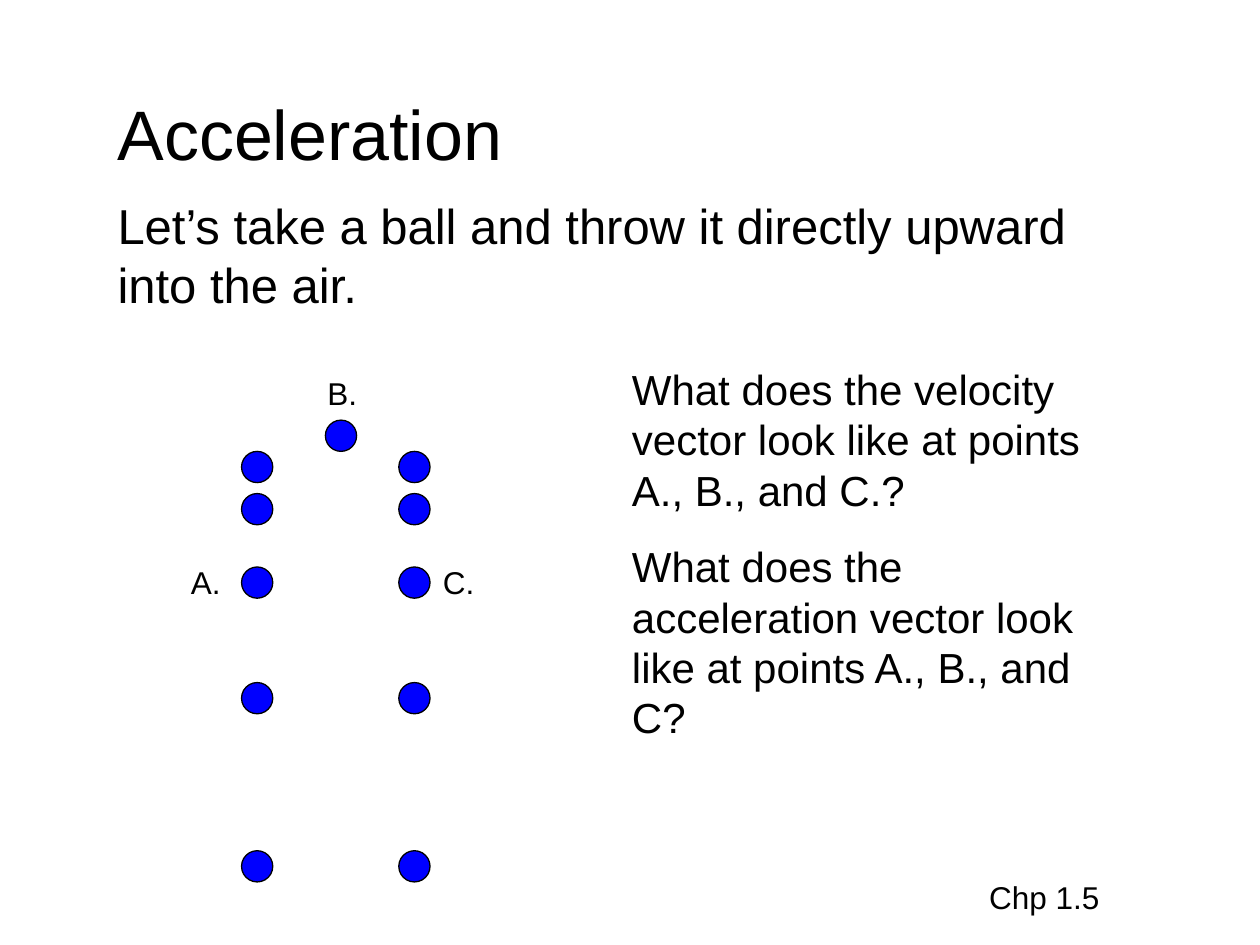
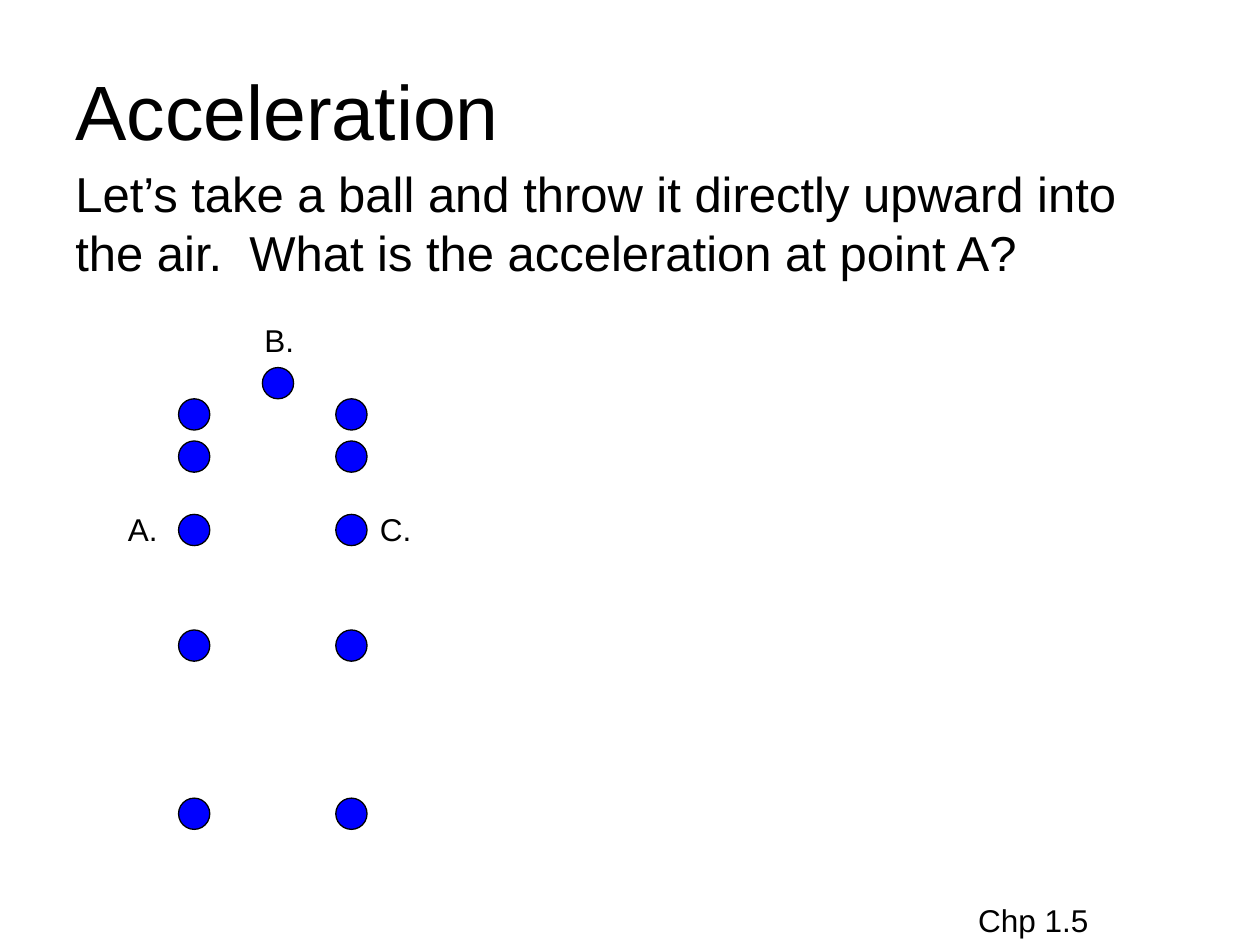
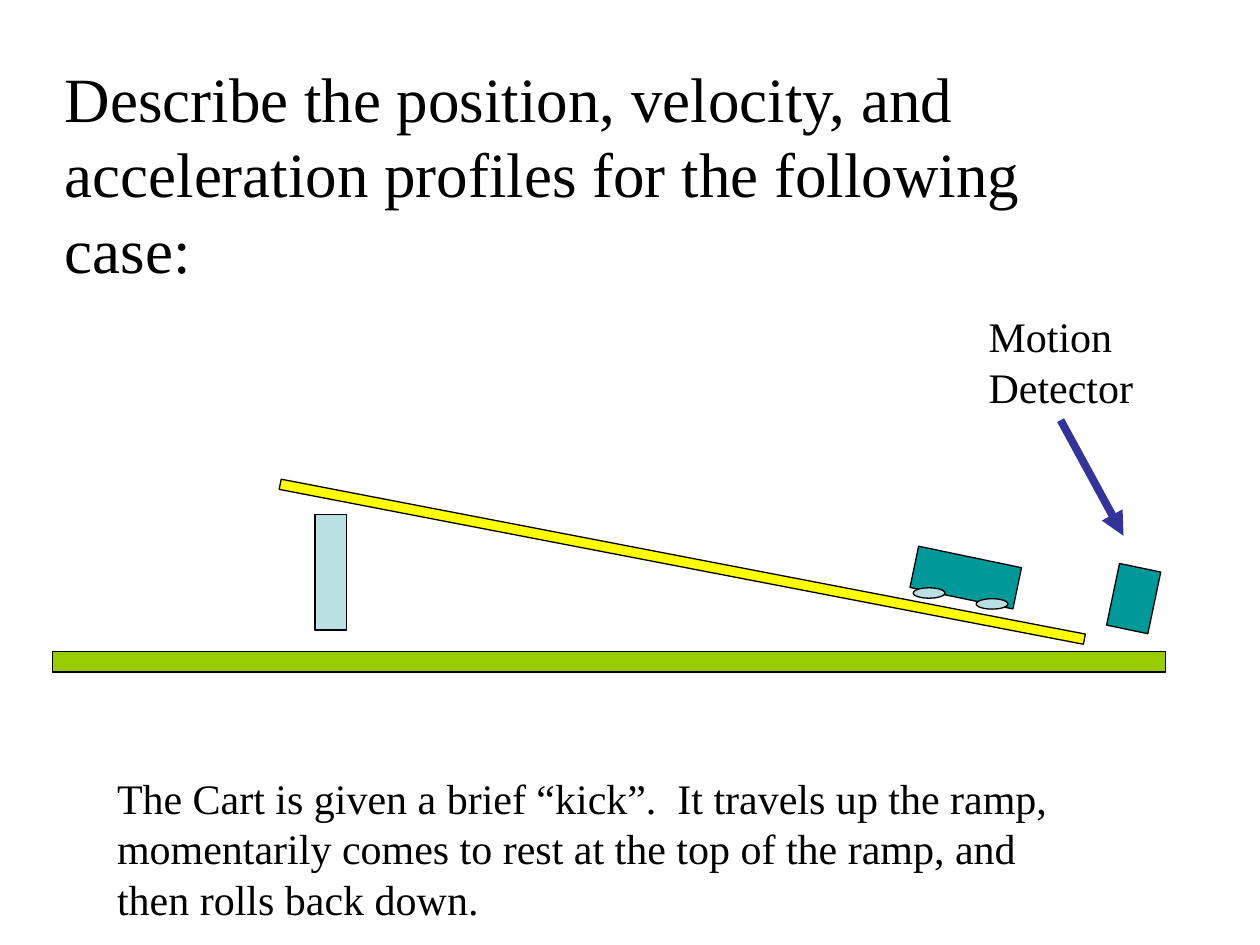
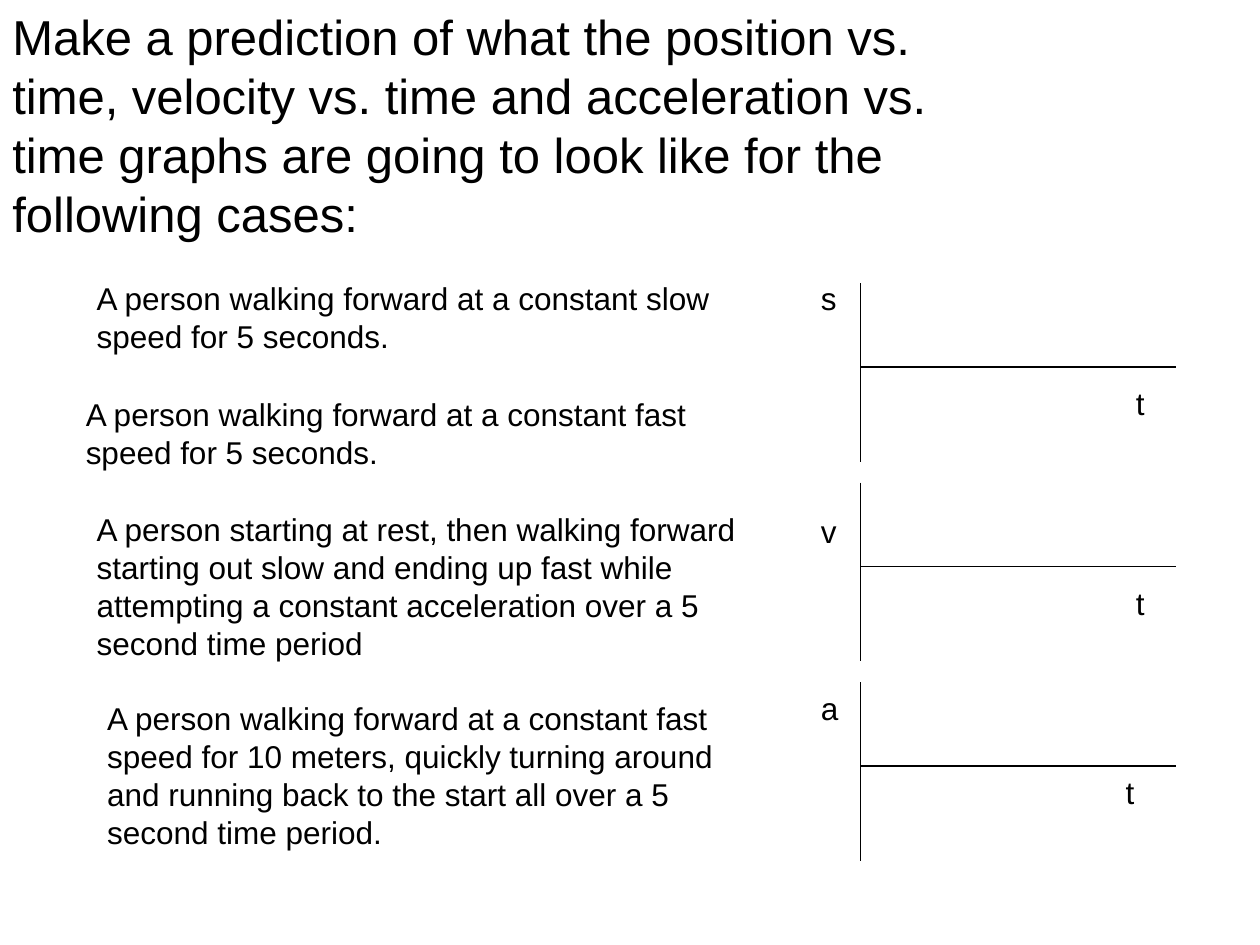
from lxml import etree
from pptx import Presentation
from pptx.dml.color import RGBColor
from pptx.enum.shapes import MSO_CONNECTOR as Link, MSO_SHAPE as Kind
from pptx.enum.text import MSO_ANCHOR as Anchor, MSO_AUTO_SIZE as Fit
from pptx.oxml.ns import qn
from pptx.util import Cm, Pt

BLACK, BLUE, NAVY = "000000", "0000FF", "333399"
GREEN, PALE, YELLOW, TEAL = "99CC00", "BBE0E3", "FFFF00", "009999"
SANS, SERIF = "Arial", "Times New Roman"


def color(code):
    return RGBColor.from_string(code)


class Deck:
    """Shared style and the current slide; all lengths are in cm."""

    def __init__(self):
        self.prs = Presentation()
        self.prs.slide_width, self.prs.slide_height = Cm(25.4), Cm(19.05)
        self.font = SANS
        self.slide = None

    def page(self, font=SANS):
        self.font = font
        self.slide = self.prs.slides.add_slide(self.prs.slide_layouts[6])

    def text(self, x, y, w, h, words, size=18, gap=0, middle=False):
        box = self.slide.shapes.add_textbox(Cm(x), Cm(y), Cm(w), Cm(h))
        frame = box.text_frame
        frame.word_wrap = True
        frame.auto_size = Fit.NONE if middle else Fit.SHAPE_TO_FIT_TEXT
        frame.vertical_anchor = Anchor.MIDDLE if middle else Anchor.TOP
        frame.text = words
        for i, para in enumerate(frame.paragraphs):
            if i:
                para.space_before = Pt(gap)
            for run in para.runs:
                run.font.name, run.font.size = self.font, Pt(size)
                run.font.color.rgb = color(BLACK)

    def shape(self, kind, x, y, w, h, fill, turn=0):
        item = self.slide.shapes.add_shape(kind, Cm(x), Cm(y), Cm(w), Cm(h))
        item.shadow.inherit = False
        item.fill.solid()
        item.fill.fore_color.rgb = color(fill)
        item.line.color.rgb = color(BLACK)
        item.line.width = Pt(0.75)
        item.rotation = turn

    def line(self, x1, y1, x2, y2, ink=BLACK, width=0.75, arrow=False):
        item = self.slide.shapes.add_connector(
            Link.STRAIGHT, Cm(x1), Cm(y1), Cm(x2), Cm(y2))
        item.line.color.rgb = color(ink)
        item.line.width = Pt(width)
        if arrow:
            tail = etree.SubElement(item.line._get_or_add_ln(), qn("a:tailEnd"))
            tail.set("type", "triangle")
        etree.SubElement(item._element.spPr, qn("a:effectLst"))

    def footer(self, x, y):
        self.text(x, y, 4.87, 1.02, "Chp 1.5")

    def throw(self, x, y):
        """Ball path: rising and falling columns, with the top at height y."""
        spots = [(dx, dy) for dx in (0, 3.17)
                 for dy in (8.68, 5.29, 2.96, 1.48, 0.63)]
        for dx, dy in spots + [(1.69, 0)]:
            self.shape(Kind.OVAL, x + dx, y + dy, 0.63, 0.63, BLUE)
        labels = ("A.", -1.27, 2.75), ("B.", 1.48, -1.06), ("C.", 3.81, 2.75)
        for name, dx, dy in labels:
            self.text(x + dx, y + dy, 1.69, 1.02, name)


def main():
    deck = Deck()

    # Ball thrown upward: vectors at three points
    deck.page()
    deck.text(2.12, 1.7, 10.58, 1.96, "Acceleration", 40)
    deck.footer(19.69, 17.57)
    deck.throw(4.87, 8.47)
    deck.text(2.12, 3.82, 19.69, 2.64,
              "Let’s take a ball and throw it directly upward into the air.", 28)
    deck.text(12.49, 7.2, 10.37, 7.9,
              "What does the velocity vector look like at points A., B., and C.?\n"
              "What does the acceleration vector look like at points A., B., and C?",
              24, gap=15)

    # Ball thrown upward: acceleration at point A
    deck.page()
    deck.text(1.27, 0.62, 22.86, 3.18, "Acceleration", 44, middle=True)
    deck.footer(19.47, 18.03)
    deck.throw(3.6, 7.41)
    deck.text(1.27, 3.18, 21.8, 2.64,
              "Let’s take a ball and throw it directly upward into the air.  "
              "What is the acceleration at point A?", 28)

    # Cart on a ramp
    deck.page(SERIF)
    deck.shape(Kind.RECTANGLE, 1.06, 13.13, 22.44, 0.42, GREEN)
    deck.shape(Kind.RECTANGLE, 6.35, 10.37, 0.64, 2.33, PALE)
    deck.shape(Kind.RECTANGLE, 5.5, 11.22, 16.51, 0.21, YELLOW, 10.9)
    deck.text(1.06, 1.07, 20.75, 4.83,
              "Describe the position, velocity, and acceleration profiles "
              "for the following case:", 36)
    deck.shape(Kind.RECTANGLE, 18.41, 11.22, 2.12, 0.85, TEAL, 11.8)
    for x, y in (18.41, 11.85), (19.68, 12.07):
        deck.shape(Kind.OVAL, x, y, 0.64, 0.21, PALE)
    deck.shape(Kind.RECTANGLE, 22.22, 11.64, 1.27, 0.85, TEAL, 281.8)
    deck.line(21.38, 8.47, 22.65, 10.8, NAVY, 4.5, arrow=True)
    deck.text(19.68, 6.14, 5.08, 2.29, "Motion Detector", 24)
    deck.text(2.11, 15.45, 19.4, 3.3,
              "The Cart is given a brief “kick”.  It travels up the ramp, "
              "momentarily comes to rest at the top of the ramp, and then "
              "rolls back down.", 24)

    # Graph predictions: walking cases
    deck.page()
    deck.text(0, 0.01, 19.69, 5,
              "Make a prediction of what the position vs. time, velocity vs. "
              "time and acceleration vs. time graphs are going to look like "
              "for the following cases:", 28)
    cases = [
        (1.7, 5.51, 14.6, 1.78,
         "A person walking forward at a constant slow speed for 5 seconds."),
        (1.48, 7.84, 13.92, 1.78,
         "A person walking forward at a constant fast speed for 5 seconds."),
        (1.7, 10.16, 13.92, 3.3,
         "A person starting at rest, then walking forward starting out slow "
         "and ending up fast while attempting a constant acceleration over "
         "a 5 second time period"),
        (1.91, 13.97, 13.92, 3.3,
         "A person walking forward at a constant fast speed for 10 meters, "
         "quickly turning around and running back to the start all over "
         "a 5 second time period."),
    ]
    for case in cases:
        deck.text(*case)

    # Empty axes: name, its height, then place of the time label
    axes = [("s", 5.51, 22.65, 7.62), ("v", 10.2, 22.65, 11.64),
            ("a", 13.76, 22.44, 15.45)]
    left, right = 17.35, 23.71
    for i, (name, high, tx, ty) in enumerate(axes):
        top = 5.71 + 4.02 * i
        deck.line(left, top, left, top + 3.6)
        deck.line(left, top + 1.69, right, top + 1.69)
        deck.text(tx, ty, 1.48, 1.02, "t")
        deck.text(16.3, high, 1.27, 1.02, name)

    deck.prs.save("out.pptx")


if __name__ == "__main__":
    main()
